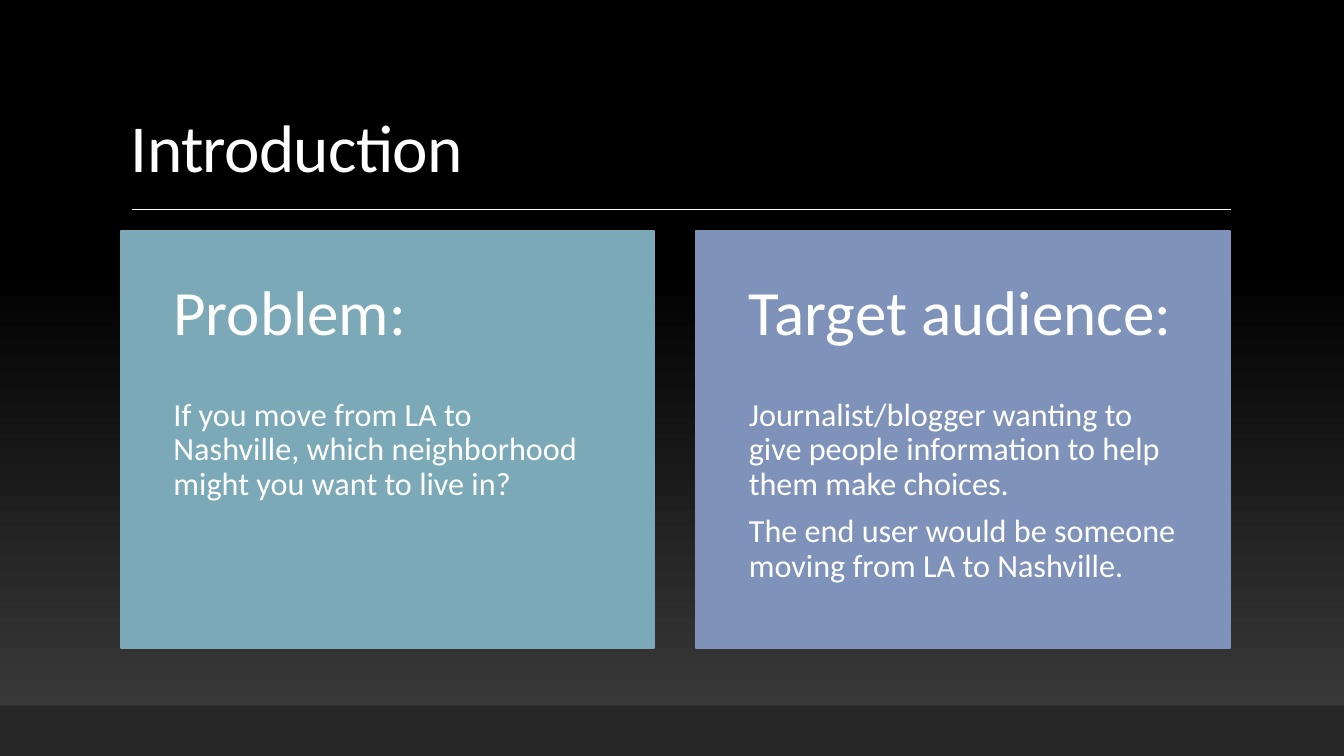
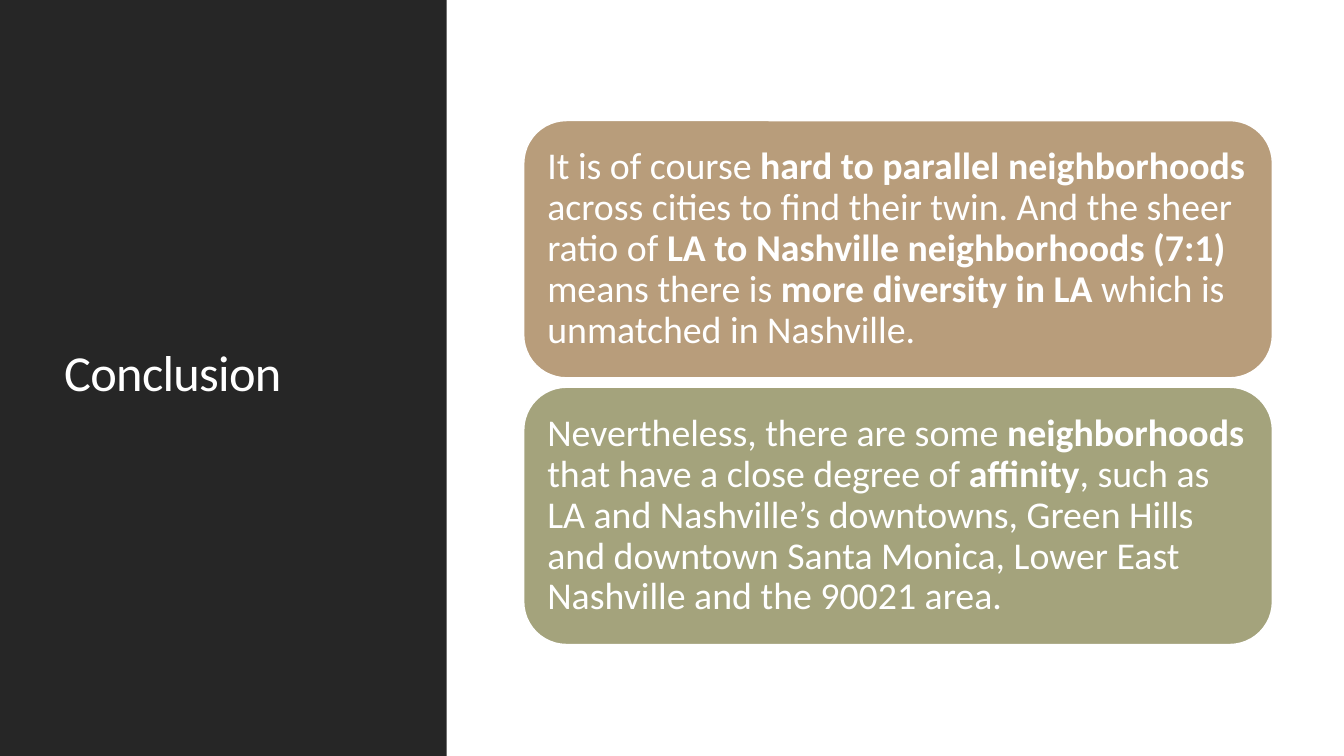
from dataclasses import dataclass

from lxml import etree
from pptx import Presentation
from pptx.dml.color import RGBColor
from pptx.enum.shapes import MSO_CONNECTOR, MSO_SHAPE
from pptx.enum.text import MSO_ANCHOR, PP_ALIGN
from pptx.oxml.ns import qn
from pptx.util import Pt

RECT, ROUND = MSO_SHAPE.RECTANGLE, MSO_SHAPE.ROUNDED_RECTANGLE
TOP, MIDDLE, BOTTOM = MSO_ANCHOR.TOP, MSO_ANCHOR.MIDDLE, MSO_ANCHOR.BOTTOM
LEFT = PP_ALIGN.LEFT
STRAIGHT = MSO_CONNECTOR.STRAIGHT


@dataclass(frozen=True)
class Theme:
    font: str = "Calibri"
    white: str = "FFFFFF"
    black: str = "000000"
    glow: str = "3F3F3F"
    band: str = "262626"
    teal: str = "7BA9B8"
    blue: str = "7F92BA"
    tan: str = "B89D7B"
    olive: str = "A4A37C"
    title: int = 48
    side: int = 36
    head: int = 45
    body: int = 23
    note: int = 27
    edge: float = 1.25
    leading: float = 0.9
    after: float = 0.37  # paragraph gap as a share of the type size


T = Theme()
WIDTH, HEIGHT = 960, 540

INTRO = "Introduction"
CARDS = [
    (T.teal, "Problem:", [
        "If you move from LA to Nashville, which neighborhood might you want to live in?",
    ]),
    (T.blue, "Target audience:", [
        "Journalist/blogger wanting to give people information to help them make choices.",
        "The end user would be someone moving from LA to Nashville.",
    ]),
]

CLOSE = "Conclusion"
# Pieces alternate between plain and bold.
NOTES = [
    (T.tan, [
        "It is of course ",
        "hard to parallel neighborhoods ",
        "across cities to find their twin. And the sheer ratio of ",
        "LA to Nashville neighborhoods (7:1) ",
        "means there is ",
        "more diversity in LA ",
        "which is unmatched in Nashville.",
    ]),
    (T.olive, [
        "Nevertheless, there are some ",
        "neighborhoods ",
        "that have a close degree of ",
        "affinity",
        ", such as LA and Nashville’s downtowns, Green Hills and downtown "
        "Santa Monica, Lower East Nashville and the 90021 area.",
    ]),
]


def color(code):
    return RGBColor.from_string(code)


def block(slide, kind, area, fill, line=None):
    shape = slide.shapes.add_shape(kind, *map(Pt, area))
    shape.shadow.inherit = False
    shape.fill.solid()
    shape.fill.fore_color.rgb = color(fill)
    if line:
        shape.line.color.rgb = color(line)
        shape.line.width = Pt(T.edge)
    else:
        shape.line.fill.background()
    return shape


def write(shape, paras, size, anchor, pad, after=T.after):
    """Fill a shape with paragraphs, each a list of plain and bold pieces."""
    frame = shape.text_frame
    frame.word_wrap = True
    frame.vertical_anchor = anchor
    (frame.margin_left, frame.margin_top,
     frame.margin_right, frame.margin_bottom) = map(Pt, pad)
    for i, parts in enumerate(paras):
        para = frame.add_paragraph() if i else frame.paragraphs[0]
        para.alignment = LEFT
        para.line_spacing = T.leading
        para.space_after = Pt(round(size * after, 1))
        for j, part in enumerate(parts):
            run = para.add_run()
            run.text = part
            run.font.name = T.font
            run.font.size = Pt(size)
            run.font.bold = j % 2 == 1
            run.font.color.rgb = color(T.white)


def label(slide, area, paras, size, anchor, pad):
    box = slide.shapes.add_textbox(*map(Pt, area))
    write(box, paras, size, anchor, pad)


def title(slide, area, text, size, anchor):
    box = slide.shapes.add_textbox(*map(Pt, area))
    write(box, [[text]], size, anchor, (7.2, 3.6, 7.2, 3.6), after=0)
    run = box.text_frame.paragraphs[0].runs[0]
    run._r.get_or_add_rPr().set("spc", "-50")


def rule(slide, left, right, y):
    line = slide.shapes.add_connector(STRAIGHT, Pt(left), Pt(y), Pt(right), Pt(y))
    line.line.color.rgb = color(T.white)
    line.line.width = Pt(1)
    etree.SubElement(line._element.spPr, qn("a:effectLst"))


def shade(slide):
    """Fade the background from grey at the foot to black."""
    fill = slide.background.fill
    fill.gradient()
    fill.gradient_angle = 90
    for stop, (place, code) in zip(fill.gradient_stops, [(0, T.glow), (0.65, T.black)]):
        stop.position = place
        stop.color.rgb = color(code)


def intro(slide):
    left, top, wide, high, gap = 86.4, 165, 381, 298, 30
    head, side = 119.5, 37.5
    shade(slide)
    block(slide, RECT, (0, 504, WIDTH, 36), T.band)
    rule(slide, 94.3, 879, 149.8)
    title(slide, (left, 22.5, 792, 114.5), INTRO, T.title, BOTTOM)
    for i, (fill, name, lines) in enumerate(CARDS):
        x = left + i * (wide + gap)
        block(slide, RECT, (x, top, wide, high), fill, fill)
        label(slide, (x, top + head, wide, high - head), [[s] for s in lines],
              T.body, TOP, (side, 0, side, 26))
        label(slide, (x, top, wide, head), [[name]],
              T.head, MIDDLE, (side, 13, side, 13))


def close(slide):
    left, top, wide, high, gap = 374, 86, 535, 184, 6.5
    block(slide, RECT, (0, 0, 319, HEIGHT), T.band)
    title(slide, (38.8, 41, 242.6, 454.5), CLOSE, T.side, MIDDLE)
    for i, (fill, parts) in enumerate(NOTES):
        y = top + i * (high + gap)
        note = block(slide, ROUND, (left, y, wide, high), fill, T.white)
        write(note, [parts], T.note, MIDDLE, (8, 8, 8, 8))


def main():
    deck = Presentation()
    deck.slide_width, deck.slide_height = Pt(WIDTH), Pt(HEIGHT)
    for draw in (intro, close):
        draw(deck.slides.add_slide(deck.slide_layouts[6]))
    deck.save("out.pptx")


if __name__ == "__main__":
    main()
